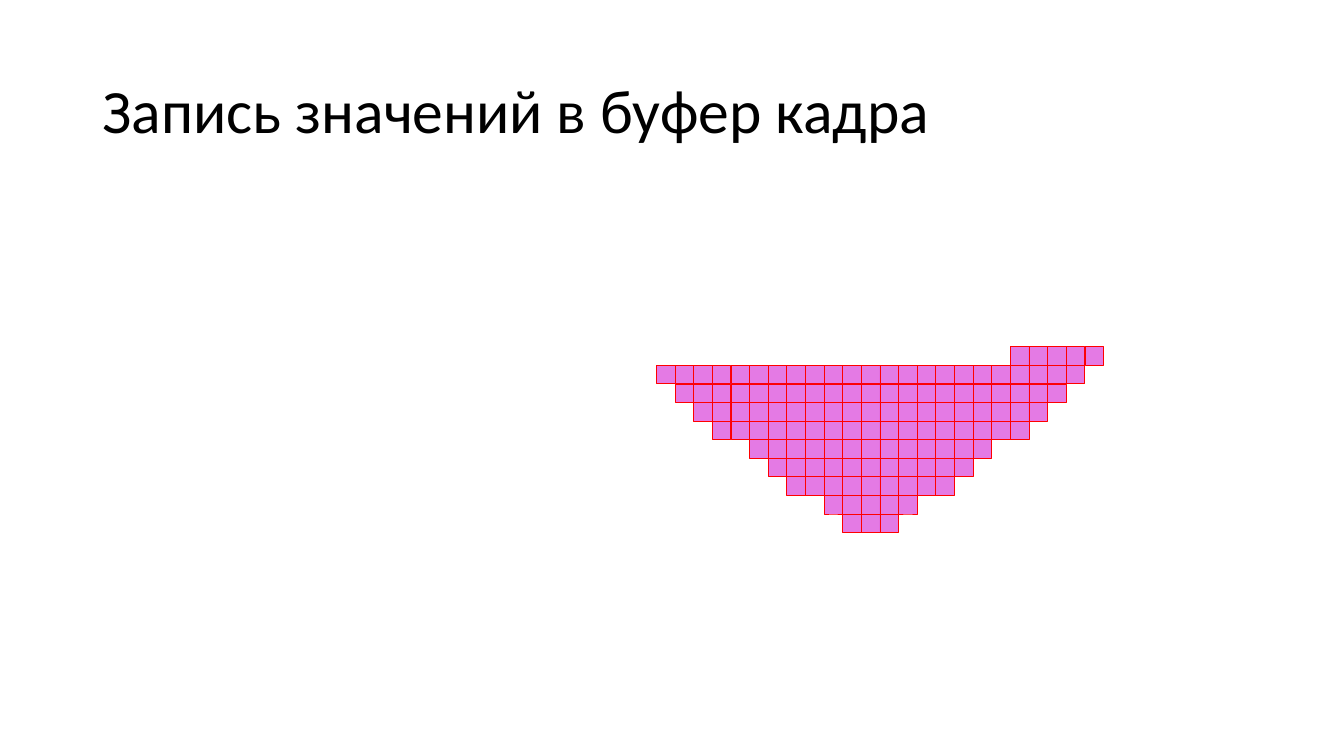
from lxml import etree
from pptx import Presentation
from pptx.dml.color import RGBColor
from pptx.enum.shapes import MSO_SHAPE
from pptx.enum.text import MSO_ANCHOR, PP_ALIGN
from pptx.oxml.ns import qn
from pptx.util import Inches, Pt

RECT = MSO_SHAPE.RECTANGLE
MIDDLE = MSO_ANCHOR.MIDDLE
LEFT = PP_ALIGN.LEFT

COLORS = {"text": "000000", "pixel": "CC00CC", "edge": "FF0000"}
FONT = "Calibri"
OPACITY = 52

GRID_LEFT, GRID_TOP = 6.51, 3.44
STEP_X = 4.25 / 23
STEP_Y = 1.66 / 9
SPANS = [
    (1, 0, 22),
    (0, 19, 23),
    (2, 1, 21),
    (3, 2, 20),
    (4, 3, 19),
    (5, 5, 17),
    (6, 6, 16),
    (7, 7, 15),
    (8, 9, 13),
    (9, 10, 12),
]


class Painter:
    def __init__(self, slide):
        self.slide = slide

    def color(self, name):
        return RGBColor.from_string(COLORS[name])

    def title(self, text, left, top, width, height):
        title = self.slide.shapes.title
        title.left, title.top = Inches(left), Inches(top)
        title.width, title.height = Inches(width), Inches(height)
        frame = title.text_frame
        frame.text = text
        frame.word_wrap = True
        frame.vertical_anchor = MIDDLE
        line = frame.paragraphs[0]
        line.alignment = LEFT
        line.line_spacing = 0.9
        line.font.name = FONT
        line.font.size = Pt(44)
        line.font.color.rgb = self.color("text")

    def pixel(self, row, col):
        cell = self.slide.shapes.add_shape(
            RECT,
            Inches(GRID_LEFT + col * STEP_X),
            Inches(GRID_TOP + row * STEP_Y),
            Inches(STEP_X),
            Inches(STEP_Y),
        )
        cell.shadow.inherit = False
        cell.fill.solid()
        cell.fill.fore_color.rgb = self.color("pixel")
        tint = cell.fill._xPr.find(qn("a:solidFill"))[0]
        etree.SubElement(tint, qn("a:alpha")).set("val", str(OPACITY * 1000))
        cell.line.color.rgb = self.color("edge")
        cell.line.width = Pt(0.5)

    def span(self, row, first, last):
        for col in range(first, last + 1):
            self.pixel(row, col)


def main():
    deck = Presentation()
    deck.slide_width, deck.slide_height = Inches(13.33), Inches(7.5)
    painter = Painter(deck.slides.add_slide(deck.slide_layouts[5]))
    painter.title("Запись значений в буфер кадра", 0.92, 0.4, 11.5, 1.45)
    for row, first, last in SPANS:
        painter.span(row, first, last)
    deck.save("out.pptx")


if __name__ == "__main__":
    main()
